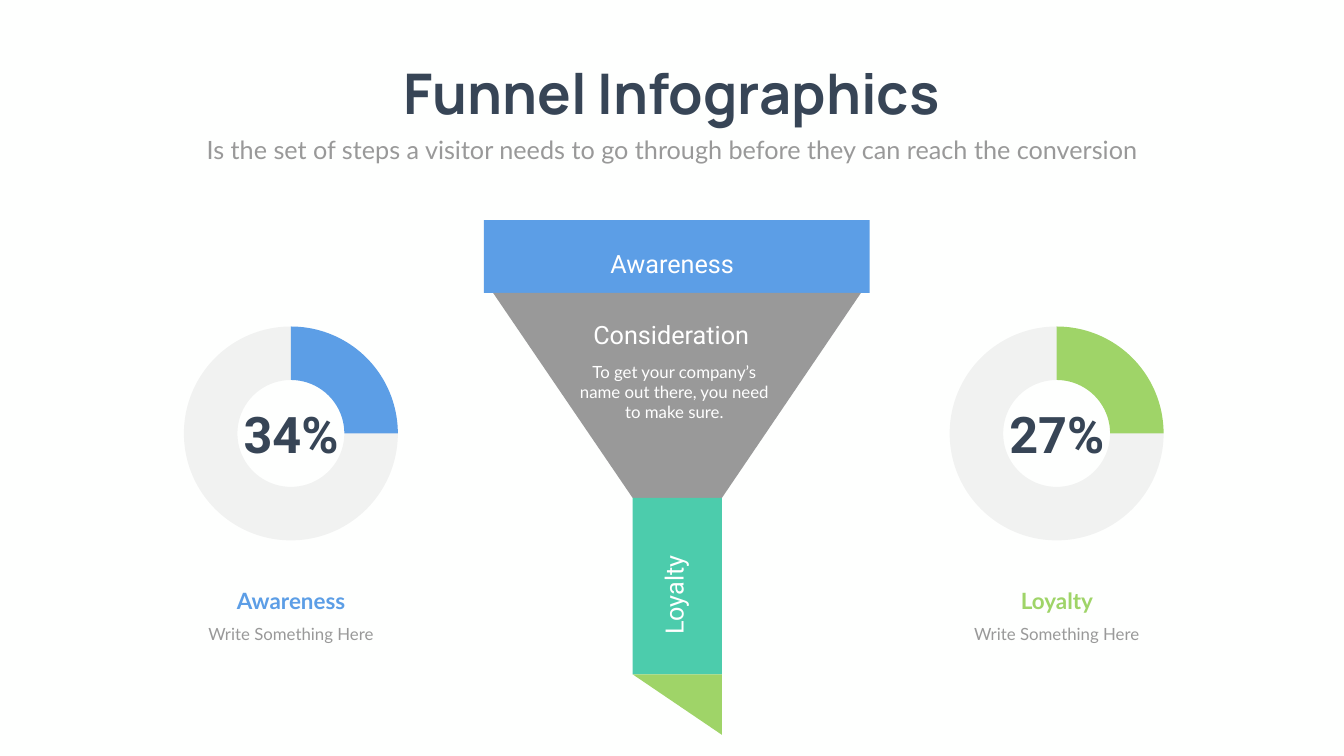
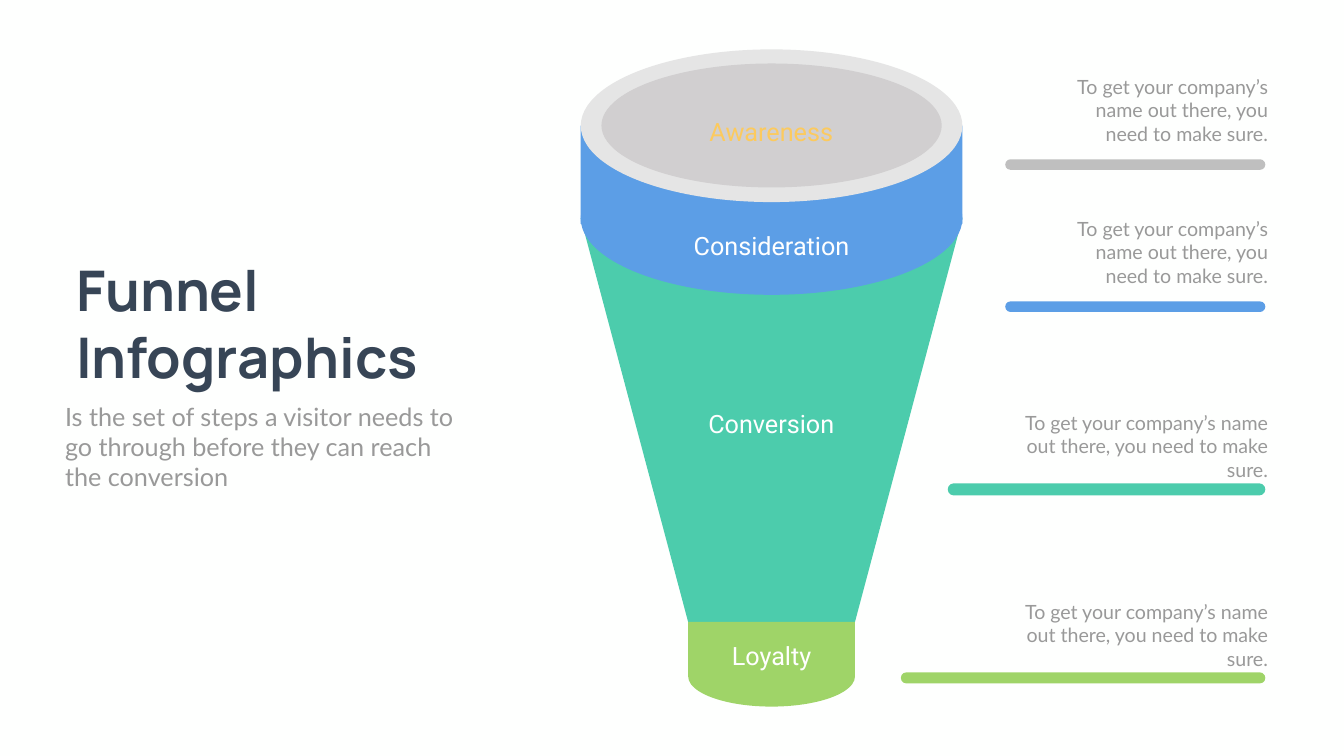
from dataclasses import dataclass
from typing import NamedTuple

from lxml import etree
from pptx import Presentation
from pptx import util as u
from pptx.chart.data import CategoryChartData
from pptx.dml.color import RGBColor
from pptx.enum import chart, shapes, text
from pptx.oxml.ns import qn

PX = 9144
MID, LEFT, RIGHT = text.PP_ALIGN.CENTER, text.PP_ALIGN.LEFT, text.PP_ALIGN.RIGHT
RECT = shapes.MSO_SHAPE.RECTANGLE
ROUND = shapes.MSO_SHAPE.ROUNDED_RECTANGLE
OVAL = shapes.MSO_SHAPE.OVAL
LEAD = "Is the set of steps a visitor needs to go through before they can reach the conversion"
CLAIM = "To get your company’s name out there, you need to make sure."


@dataclass(frozen=True)
class Theme:
    """Colours, fonts and type sizes of the deck."""
    paper: str = "FEFFFE"
    ink: str = "374556"
    grey: str = "999999"
    white: str = "FFFFFF"
    blue: str = "5C9EE6"
    teal: str = "4CCCAC"
    green: str = "9FD468"
    gold: str = "FCCA5E"
    silver: str = "BFBFBF"
    rim: str = "E5E5E5"
    well: str = "D1CFD0"
    track: str = "808080"
    head: str = "Manrope"
    body: str = "Lato"
    label: str = "Roboto"
    plot: str = "Calibri"
    title: int = 80
    figure: int = 72
    lead: int = 36
    name: int = 32
    note: int = 28
    small: int = 24
    tick: int = 10


T = Theme()


class Box(NamedTuple):
    """A frame in px."""
    x: int
    y: int
    w: int
    h: int


class Style(NamedTuple):
    """The look of a line of text."""
    font: str
    size: int
    color: str
    bold: bool = False
    align: text.PP_ALIGN = MID
    pitch: float = 0


class Part(NamedTuple):
    """A filled preset shape."""
    kind: shapes.MSO_SHAPE
    box: Box
    color: str


class Label(NamedTuple):
    """A funnel label."""
    words: str
    box: Box
    color: str = T.white
    turn: int = 0


class Stat(NamedTuple):
    """A ring with its share and caption."""
    mid: int
    share: str
    name: str
    color: str
    width: int
    span: int


class Note(NamedTuple):
    """A claim with a bar below it."""
    top: int
    width: int
    high: int
    bar: Box
    color: str


TITLE = Style(T.head, T.title, T.ink, True)
INTRO = Style(T.body, T.lead, T.grey)


def emu(box: Box) -> list[int]:
    """Turn a frame in px into EMU."""
    return [side * PX for side in box]


def tint(color: str) -> RGBColor:
    """Turn a hex string into a colour."""
    return RGBColor.from_string(color)


def write(frame, lines: list[str], style: Style) -> None:
    """Fill a text frame, one paragraph a line."""
    frame.word_wrap = True
    frame.auto_size = text.MSO_AUTO_SIZE.NONE
    frame.vertical_anchor = text.MSO_ANCHOR.TOP
    for i, line in enumerate(lines):
        para = frame.add_paragraph() if i else frame.paragraphs[0]
        para.alignment = style.align
        para.space_before = u.Pt(0)
        if style.pitch:
            para.line_spacing = u.Pt(style.pitch)
        run = para.add_run()
        run.text = line
        run.font.name = style.font
        run.font.size = u.Pt(style.size)
        run.font.bold = style.bold
        run.font.color.rgb = tint(style.color)


def add_text(slide, words: str, box: Box, style: Style, inset: int = 5):
    """Add a text box."""
    shape = slide.shapes.add_textbox(*emu(box))
    write(shape.text_frame, [words], style)
    shape.text_frame.margin_top = shape.text_frame.margin_bottom = inset * PX
    return shape


def place(holder, box: Box, lines: list[str], style: Style) -> None:
    """Move and fill a placeholder."""
    holder.left, holder.top, holder.width, holder.height = emu(box)
    write(holder.text_frame, lines, style)


def start(deck, head: Box, lines: list[str], intro: Box, align: text.PP_ALIGN):
    """Add a slide with its title and lead."""
    slide = deck.slides.add_slide(deck.slide_layouts[0])
    slide.background.fill.solid()
    slide.background.fill.fore_color.rgb = tint(T.paper)
    place(slide.shapes.title, head, lines, TITLE._replace(align=align))
    place(slide.placeholders[1], intro, [LEAD], INTRO._replace(align=align))
    return slide


def paint(shape, color: str) -> None:
    """Give a shape a plain fill."""
    shape.shadow.inherit = False
    shape.fill.solid()
    shape.fill.fore_color.rgb = tint(color)
    shape.line.fill.background()


def add_part(slide, part: Part) -> None:
    """Add a preset shape."""
    shape = slide.shapes.add_shape(part.kind, *emu(part.box))
    if part.kind == ROUND:
        shape.adjustments[0] = 0.5
    paint(shape, part.color)


def add_poly(slide, points: list[tuple[int, int]], color: str) -> None:
    """Add a closed outline."""
    pen = slide.shapes.build_freeform(*points[0], scale=PX)
    pen.add_line_segments(points[1:], close=True)
    paint(pen.convert_to_shape(), color)


def add_label(slide, label: Label) -> None:
    """Add a label on the funnel."""
    style = Style(T.label, T.lead, label.color)
    add_text(slide, label.words, label.box, style).rotation = label.turn


def add_ring(slide, box: Box, color: str) -> None:
    """Add a doughnut chart with a faint track."""
    data = CategoryChartData()
    data.categories = ["1", "2"]
    data.add_series("Series 1", (25, 75))
    ring = slide.shapes.add_chart(chart.XL_CHART_TYPE.DOUGHNUT, *emu(box), data).chart
    ring.has_legend = ring.has_title = False
    ring.font.name = T.plot
    ring.font.size = u.Pt(T.tick)
    ring.font.color.rgb = tint(T.grey)
    plot = ring.plots[0]
    plot.vary_by_categories = True
    plot._element.find(qn("c:holeSize")).set("val", "80")
    for i, shade in enumerate((color, T.track)):
        look = plot.series[0].points[i].format
        look.fill.solid()
        look.fill.fore_color.rgb = tint(shade)
        look.line.fill.background()
    hue = look.fill._xPr.find(".//" + qn("a:srgbClr"))
    etree.SubElement(hue, qn("a:alpha")).set("val", "10000")


def add_stat(slide, stat: Stat) -> None:
    """Add a ring, its share and its caption."""
    def row(top: int, wide: int, high: int) -> Box:
        """Centre a frame on the ring."""
        return Box(stat.mid - wide // 2, top, wide, high)

    add_ring(slide, row(634, 466, 452), stat.color)
    add_text(slide, stat.share, row(794, 423, 131), Style(T.label, T.figure, T.ink, True))
    add_text(slide, stat.name, row(1158, stat.width, 63),
             Style(T.body, T.name, stat.color, True, pitch=40.8), 3)
    add_text(slide, "Write Something Here", row(1218, stat.span, 60),
             Style(T.body, T.small, T.grey, pitch=40.8), 3)


def add_note(slide, note: Note) -> None:
    """Add a claim, flush right, and its bar."""
    add_text(slide, CLAIM, Box(2525 - note.width, note.top, note.width, note.high),
             Style(T.body, T.note, T.grey, align=RIGHT))
    add_part(slide, Part(ROUND, note.bar, note.color))


def flat(deck) -> None:
    """Build the slide with the flat funnel."""
    slide = start(deck, Box(747, 112, 1171, 145), ["Funnel Infographics"],
                  Box(292, 261, 2082, 71), MID)
    for stat in (Stat(577, "34%", "Awareness", T.blue, 293, 404),
                 Stat(2096, "27%", "Loyalty", T.green, 255, 476)):
        add_stat(slide, stat)
    add_part(slide, Part(RECT, Box(960, 437, 765, 144), T.blue))
    add_poly(slide, [(1432, 988), (1255, 988), (978, 581), (1708, 581)], T.grey)
    add_part(slide, Part(RECT, Box(1255, 988, 177, 350), T.teal))
    add_poly(slide, [(1255, 1338), (1432, 1338), (1432, 1458)], T.green)
    for label in (Label("Consideration", Box(1042, 628, 579, 71)),
                  Label("Awareness", Box(1126, 487, 415, 71)),
                  Label("Loyalty", Box(1228, 1145, 217, 71), turn=270)):
        add_label(slide, label)
    add_text(slide, CLAIM, Box(1133, 712, 409, 131), Style(T.body, T.small, T.white))


def deep(deck) -> None:
    """Build the slide with the solid funnel."""
    slide = start(deck, Box(141, 502, 758, 279), ["Funnel", "Infographics"],
                  Box(119, 791, 792, 192), LEFT)
    add_poly(slide, [(1696, 1234), (1365, 1234), (1152, 433), (1909, 433)], T.teal)
    add_part(slide, Part(OVAL, Box(1152, 282, 757, 303), T.blue))
    add_poly(slide, [(1152, 249), (1909, 249), (1909, 444), (1731, 513),
                     (1542, 538), (1341, 515), (1152, 444)], T.blue)
    for part in (Part(OVAL, Box(1152, 98, 757, 303), T.rim),
                 Part(OVAL, Box(1193, 126, 675, 246), T.well),
                 Part(OVAL, Box(1365, 1282, 331, 120), T.green),
                 Part(RECT, Box(1365, 1234, 331, 108), T.green)):
        add_part(slide, part)
    for label in (Label("Conversion", Box(1272, 806, 516, 71)),
                  Label("Consideration", Box(1303, 453, 455, 71)),
                  Label("Loyalty", Box(1422, 1266, 217, 71)),
                  Label("Awareness", Box(1337, 225, 386, 71), T.gold)):
        add_label(slide, label)
    for note in (Note(143, 452, 151, Box(1994, 316, 516, 21), T.silver),
                 Note(425, 452, 151, Box(1994, 598, 516, 21), T.blue),
                 Note(810, 566, 104, Box(1880, 959, 630, 24), T.teal),
                 Note(1185, 566, 104, Box(1787, 1334, 723, 22), T.green)):
        add_note(slide, note)


def main() -> None:
    """Build and save the deck."""
    deck = Presentation()
    deck.slide_width, deck.slide_height = 2666 * PX, 1500 * PX
    flat(deck)
    deep(deck)
    deck.save("out.pptx")


if __name__ == "__main__":
    main()
